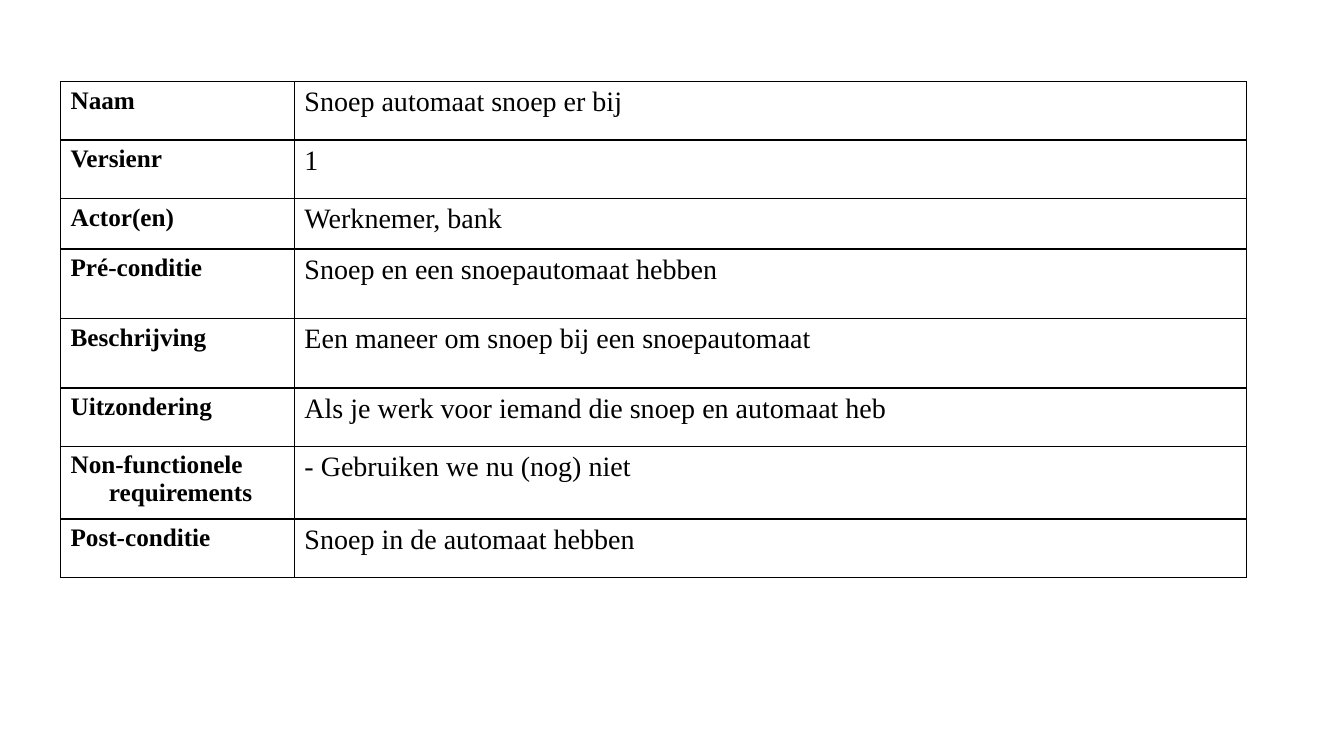
from lxml.etree import SubElement
from pptx import Presentation
from pptx.dml.color import RGBColor
from pptx.oxml.ns import qn
from pptx.util import Inches, Pt

USE_CASE = [
    ("Naam", "Snoep automaat snoep er bij", 0.58),
    ("Versienr", "1", 0.58),
    ("Actor(en)", "Werknemer, bank", 0.5),
    ("Pré-conditie", "Snoep en een snoepautomaat hebben", 0.69),
    ("Beschrijving", "Een maneer om snoep bij een snoepautomaat", 0.69),
    ("Uitzondering", "Als je werk voor iemand die snoep en automaat heb", 0.58),
    ("Non-functionele requirements", "- Gebruiken we nu (nog) niet", 0.72),
    ("Post-conditie", "Snoep in de automaat hebben", 0.58),
]
COLUMN_WIDTHS = (2.32, 9.44)


def color(hex_string):
    return RGBColor.from_string(hex_string)


class UseCaseSlide:
    font_name = "Times New Roman"
    ink = "000000"
    label_size = 18
    value_size = 20
    border_width = 1
    hanging_indent = 0.38

    def __init__(self, presentation):
        self.slide = presentation.slides.add_slide(presentation.slide_layouts[6])

    def add_table(self, left, top, widths, rows):
        height = sum(row_height for _, _, row_height in rows)
        shape = self.slide.shapes.add_table(
            len(rows), len(widths), Inches(left), Inches(top),
            Inches(sum(widths)), Inches(height))
        table = shape.table
        table.first_row = False
        table.horz_banding = False
        for column, width in zip(table.columns, widths):
            column.width = Inches(width)
        for index, (label, value, row_height) in enumerate(rows):
            table.rows[index].height = Inches(row_height)
            self.fill_label(table.cell(index, 0), label)
            self.fill_value(table.cell(index, 1), value)

    def fill_label(self, cell, text):
        paragraph = self.fill_cell(cell, text, self.label_size, True)
        properties = paragraph._p.get_or_add_pPr()
        indent = Inches(self.hanging_indent)
        properties.set("marL", str(indent))
        properties.set("indent", str(-indent))

    def fill_value(self, cell, text):
        paragraph = self.fill_cell(cell, text, self.value_size, False)
        space_before = SubElement(paragraph._p.get_or_add_pPr(), qn("a:spcBef"))
        SubElement(space_before, qn("a:spcPct"), val="20000")

    def fill_cell(self, cell, text, size, bold):
        """Set the borders and text of a cell and return its paragraph."""
        self.add_borders(cell)
        cell.fill.background()
        cell.text_frame.text = text
        paragraph = cell.text_frame.paragraphs[0]
        font = paragraph.runs[0].font
        font.name = self.font_name
        font.size = Pt(size)
        font.bold = bold
        font.color.rgb = color(self.ink)
        return paragraph

    def add_borders(self, cell):
        properties = cell._tc.get_or_add_tcPr()
        for side in ("lnL", "lnR", "lnT", "lnB"):
            line = SubElement(properties, qn(f"a:{side}"), w=str(Pt(self.border_width)))
            fill = SubElement(line, qn("a:solidFill"))
            SubElement(fill, qn("a:srgbClr"), val=self.ink)


def main():
    presentation = Presentation()
    presentation.slide_width = Inches(13.33)
    presentation.slide_height = Inches(7.5)
    UseCaseSlide(presentation).add_table(0.6, 0.81, COLUMN_WIDTHS, USE_CASE)
    presentation.save("out.pptx")


if __name__ == "__main__":
    main()
